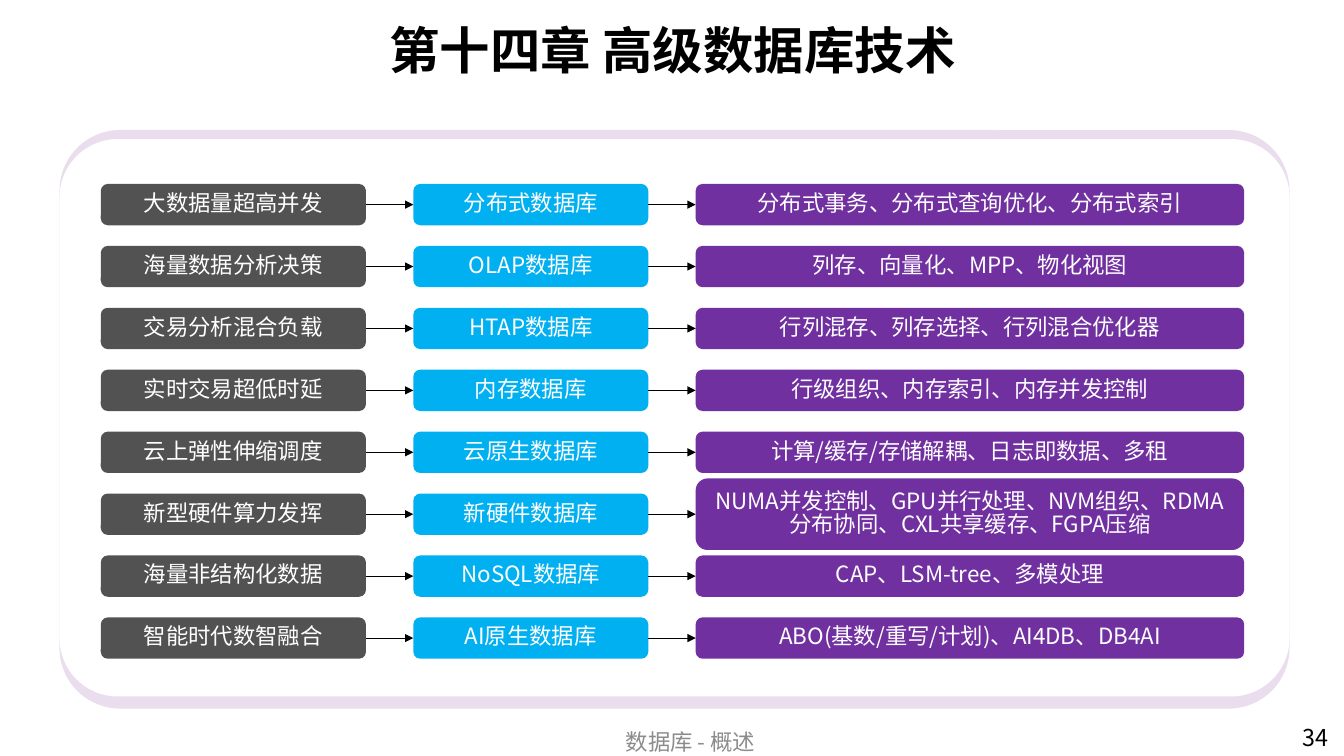
from dataclasses import dataclass

from lxml import etree
from pptx import Presentation
from pptx.dml.color import RGBColor
from pptx.enum import shapes, text
from pptx.oxml import ns
from pptx.util import Inches, Pt


@dataclass(frozen=True)
class Theme:
    font: str = "Noto Sans CJK SC"
    black: str = "000000"
    white: str = "FFFFFF"
    frame: str = "6F1787"
    database: str = "00B0F0"
    technique: str = "7030A0"
    footer: str = "8C8C8C"
    title_size: float = 36
    body_size: float = 16
    number_size: float = 16.6


theme = Theme()


def add_box(left, top, width, height, color, opacity=100):
    shape = slide.shapes.add_shape(
        shapes.MSO_SHAPE.ROUNDED_RECTANGLE,
        Inches(left), Inches(top), Inches(width), Inches(height))
    shape.shadow.inherit = False
    shape.line.fill.background()
    shape.fill.solid()
    shape.fill.fore_color.rgb = RGBColor.from_string(color)
    if opacity < 100:
        fill_color = shape.fill._xPr.find(ns.qn("a:solidFill"))[0]
        etree.SubElement(fill_color, ns.qn("a:alpha"), val=str(opacity * 1000))
    return shape


def write(shape, words, size, color, bold=False, align=text.PP_ALIGN.CENTER):
    frame = shape.text_frame
    frame.word_wrap = True
    frame.vertical_anchor = text.MSO_ANCHOR.MIDDLE
    paragraph = frame.paragraphs[0]
    paragraph.text = words
    paragraph.alignment = align
    font = paragraph.font
    font.size = Pt(size)
    font.bold = bold
    font.color.rgb = RGBColor.from_string(color)
    font.name = theme.font
    properties = paragraph._p.pPr.find(ns.qn("a:defRPr"))
    etree.SubElement(properties, ns.qn("a:ea"), typeface=theme.font)
    return paragraph


presentation = Presentation()
presentation.slide_width = Inches(13.33)
presentation.slide_height = Inches(7.5)
slide = presentation.slides.add_slide(presentation.slide_layouts[6])

for top, height, color, opacity in (
    (1.29, 5.74, theme.frame, 14),
    (1.38, 5.53, theme.white, 100),
):
    panel = add_box(0.59, top, 12.2, height, color, opacity)
    panel.adjustments[0] = 0.105

for left, top, width, height, words, size, color, bold, align in (
    (1.15, 0.12, 11.04, 0.74, "第十四章 高级数据库技术",
     theme.title_size, theme.black, True, text.PP_ALIGN.CENTER),
    (4.78, 7.21, 4.14, 0.29, "数据库 - 概述",
     theme.body_size, theme.footer, False, text.PP_ALIGN.CENTER),
    (12.82, 7.13, 0.5, 0.37, "34",
     theme.number_size, theme.black, False, text.PP_ALIGN.LEFT),
):
    label = slide.shapes.add_textbox(
        Inches(left), Inches(top), Inches(width), Inches(height))
    write(label, words, size, color, bold, align)

columns = (
    (1, 2.63, theme.black, 68),
    (4.1, 2.33, theme.database, 100),
    (6.9, 5.44, theme.technique, 100),
)
rows = (
    ("大数据量超高并发", "分布式数据库", "分布式事务、分布式查询优化、分布式索引"),
    ("海量数据分析决策", "OLAP数据库", "列存、向量化、MPP、物化视图"),
    ("交易分析混合负载", "HTAP数据库", "行列混存、列存选择、行列混合优化器"),
    ("实时交易超低时延", "内存数据库", "行级组织、内存索引、内存并发控制"),
    ("云上弹性伸缩调度", "云原生数据库", "计算/缓存/存储解耦、日志即数据、多租"),
    ("新型硬件算力发挥", "新硬件数据库",
     "NUMA并发控制、GPU并行处理、NVM组织、RDMA分布协同、CXL共享缓存、FGPA压缩"),
    ("海量非结构化数据", "NoSQL数据库", "CAP、LSM-tree、多模处理"),
    ("智能时代数智融合", "AI原生数据库", "ABO(基数/重写/计划)、AI4DB、DB4AI"),
)
first_middle, last_middle = 2.03, 6.33
row_pitch = (last_middle - first_middle) / (len(rows) - 1)
row_height, tall_height, long_text = 0.41, 0.71, 30

for index, row in enumerate(rows):
    middle = first_middle + index * row_pitch
    for words, (left, width, color, opacity) in zip(row, columns):
        height = tall_height if len(words) > long_text else row_height
        box = add_box(left, middle - height / 2, width, height, color, opacity)
        paragraph = write(box, words, theme.body_size, theme.white)
        paragraph.line_spacing = 0.85

    for (left, width, *_), (next_left, *_) in zip(columns, columns[1:]):
        arrow = slide.shapes.add_connector(
            shapes.MSO_CONNECTOR.STRAIGHT,
            Inches(left + width), Inches(middle), Inches(next_left), Inches(middle))
        arrow.line.width = Pt(0.75)
        arrow.line.color.rgb = RGBColor.from_string(theme.black)
        etree.SubElement(arrow.line._get_or_add_ln(), ns.qn("a:tailEnd"), type="triangle")
        etree.SubElement(arrow._element.spPr, ns.qn("a:effectLst"))

presentation.save("out.pptx")
